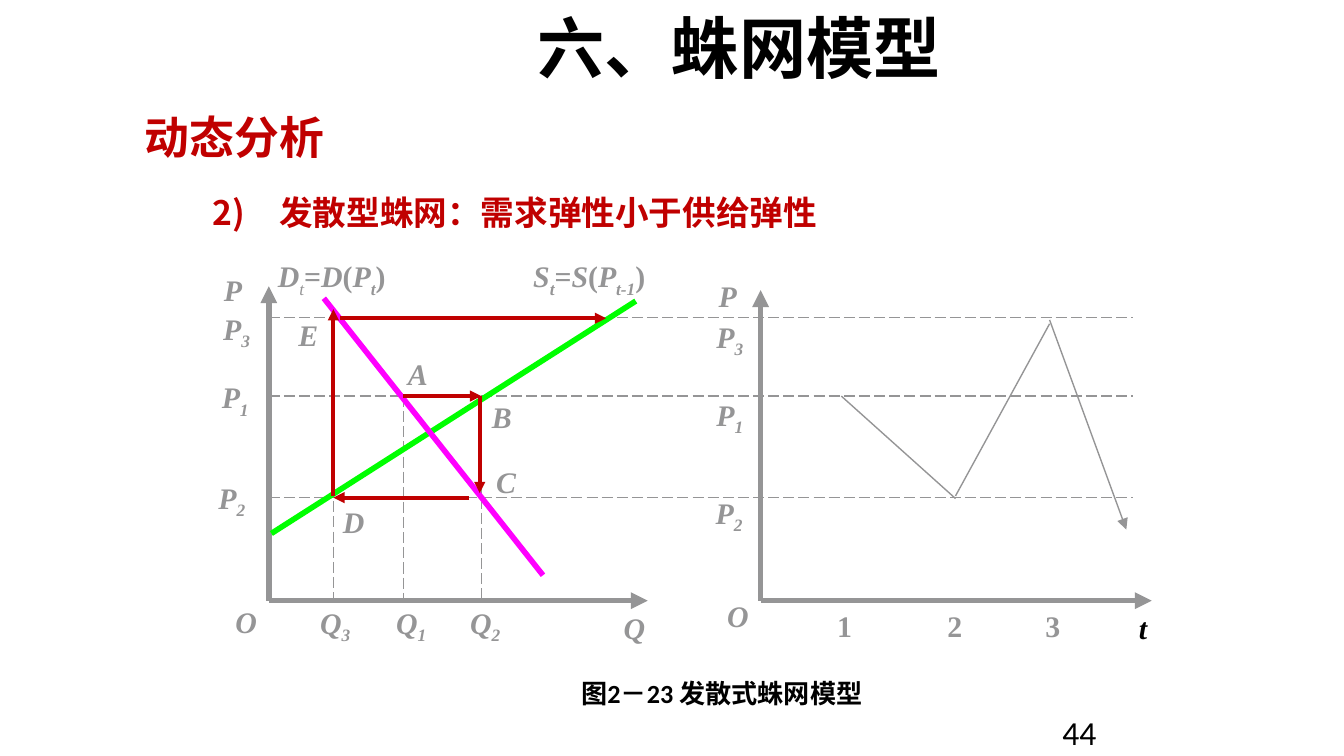
import pptx
import pptx.dml.color
import pptx.enum.dml
import pptx.enum.shapes
import pptx.enum.text
import pptx.oxml.ns
import pptx.util
from lxml import etree

Pt = pptx.util.Pt
qn = pptx.oxml.ns.qn
ALIGN = pptx.enum.text.PP_ALIGN
LONG_DASH = pptx.enum.dml.MSO_LINE.LONG_DASH
STRAIGHT = pptx.enum.shapes.MSO_CONNECTOR.STRAIGHT
COLOURS = {"grey": "959596", "red": "C00000", "green": "00FF00",
           "magenta": "FF00FF", "black": "000000"}
MATH = {"name": "Times New Roman", "size": Pt(16), "bold": True, "italic": True}
LABEL_WIDTH = 42


def add_span(para, text, colour, formats, subscript=False):
    span = para.add_run()
    span.text = text
    for name, value in formats.items():
        setattr(span.font, name, value)
    span.font.color.rgb = pptx.dml.color.RGBColor.from_string(COLOURS[colour])
    if subscript:
        span._r.get_or_add_rPr().set("baseline", "-25000")


def add_box(left, top, width, height, align=ALIGN.LEFT, wrap=True):
    """Add a text box and return its first paragraph."""
    box = page.shapes.add_textbox(Pt(left), Pt(top), Pt(width), Pt(height))
    box.text_frame.word_wrap = wrap
    para = box.text_frame.paragraphs[0]
    para.alignment = align
    return para


deck = pptx.Presentation()
deck.slide_width, deck.slide_height = Pt(720), Pt(405)
page = deck.slides.add_slide(deck.slide_layouts[6])

# Page number, title and caption
for text, place, align, size, bold in [
    ("44", (562, 378, 146, 27), ALIGN.LEFT, 18, False),
    ("六、蛛网模型", (72, 0, 648, 58), ALIGN.CENTER, 36, True),
    ("图2－23 发散式蛛网模型", (207.4, 359.3, 358.6, 24.5), ALIGN.CENTER, 14, True),
]:
    add_span(add_box(*place, align), text, "black",
             {"name": "Calibri", "size": Pt(size), "bold": bold})

# Heading and numbered point
heading = add_box(70.6, 55.4, 588.2, 130.3)
add_span(heading, "动态分析", "red", {"name": "Arial", "size": Pt(24), "bold": True})
point = page.shapes[-1].text_frame.add_paragraph()
point.level = 1
point.alignment = ALIGN.JUSTIFY
point.line_spacing = 1.7
properties = point._p.get_or_add_pPr()
properties.set("marL", str(Pt(72)))
properties.set("indent", str(Pt(-36)))
bullet_colour = etree.SubElement(properties, qn("a:buClr"))
etree.SubElement(bullet_colour, qn("a:srgbClr"), val=COLOURS["red"])
etree.SubElement(properties, qn("a:buFont"), typeface="Arial")
etree.SubElement(properties, qn("a:buAutoNum"), type="arabicParenR", startAt="2")
add_span(point, "发散型蛛网：需求弹性小于供给弹性", "red",
         {"name": "Arial", "size": Pt(18), "bold": True})

# Levels shared by both diagrams
p3, p1, p2, base = 170, 212.2, 266.6, 321.8
q3, q1, q2 = 178.6, 216, 257.8
left_origin, right_origin, guide_end = 144, 407.5, 607

# Start, end, colour, width, dashed, arrow at end
lines = [
    ((left_origin, base), (left_origin, 153.4), "grey", 3, False, True),
    ((left_origin, base), (347, base), "grey", 3, False, True),
    ((right_origin, base), (right_origin, 155.5), "grey", 3, False, True),
    ((right_origin, base), (617, base), "grey", 3, False, True),
]
for x, top in [(q3, 268.6), (q1, p1), (q2, 258.5)]:
    lines.append(((x, top), (x, base), "grey", 0.75, True, False))
for y in (p3, p1, p2):
    lines.append(((left_origin, y), (guide_end, y), "grey", 0.75, True, False))
lines += [
    ((340.6, 161.3), (145.4, 285.8), "green", 3, False, False),
    ((290.9, 308.2), (173.5, 159.8), "magenta", 3, False, False),
    ((251.3, p2), (q3, p2), "red", 2, False, True),
    ((q3, 265.7), (q3, 165.6), "red", 2, False, True),
    ((q1, p1), (q2, p1), "red", 2, False, True),
    ((257, p1), (257, 264.2), "red", 2, False, True),
    ((182.2, 170.5), (324.7, 170.5), "red", 2, False, True),
    ((450.7, p1), (511.9, 267.1), "grey", 0.75, False, False),
    ((511.9, 265.7), (562.3, 173.5), "grey", 0.75, False, False),
    ((562.3, 171.4), (603.4, 283.7), "grey", 0.75, False, True),
]
for start, end, colour, width, dashed, arrow in lines:
    line = page.shapes.add_connector(STRAIGHT, *map(Pt, start + end))
    line.line.color.rgb = pptx.dml.color.RGBColor.from_string(COLOURS[colour])
    line.line.width = Pt(width)
    if dashed:
        line.line.dash_style = LONG_DASH
    if arrow:
        etree.SubElement(line.line._get_or_add_ln(), qn("a:tailEnd"), type="triangle")
    etree.SubElement(line._element.spPr, qn("a:effectLst"))

# Letter, subscript, centre, top
for letter, subscript, centre, top in [
    ("P", "", 124.9, 141.8), ("P", "3", 126.7, 162.7),
    ("P", "1", 126, 199.4), ("P", "2", 124.2, 253.4),
    ("O", "", 131.8, 319.7), ("Q", "", 339.8, 323.3),
    ("Q", "3", 179.6, 320.4), ("Q", "1", 220.3, 320.4), ("Q", "2", 259.9, 320.4),
    ("A", "", 223.9, 187.2), ("B", "", 268.9, 210.2), ("C", "", 271.1, 244.8),
    ("D", "", 189.4, 266.4), ("E", "", 165.2, 166.3),
    ("P", "", 389.9, 145.4), ("P", "3", 391, 167),
    ("P", "1", 391, 208.8), ("P", "2", 390.6, 261.4),
    ("O", "", 395.3, 316.8), ("t", "", 612.4, 323.3),
    ("1", "", 452.5, 321.8), ("2", "", 511.6, 321.8), ("3", "", 564.1, 321.8),
]:
    para = add_box(centre - LABEL_WIDTH / 2, top, LABEL_WIDTH,
                   29.5 if subscript else 26.6, ALIGN.CENTER, False)
    add_span(para, letter, "black" if letter == "t" else "grey",
             MATH | {"italic": letter.isalpha()})
    if subscript:
        add_span(para, subscript, "grey", MATH, True)

# Curve equations
for left, width, letter, period, bold_index in [
    (141.8, 72, "D", "t", False), (278.6, 74.2, "S", "t-1", True),
]:
    para = add_box(left, 134.6, width, 29.5, wrap=False)
    add_span(para, letter, "grey", MATH)
    add_span(para, "t", "grey", MATH | {"bold": bold_index}, True)
    add_span(para, "=", "grey", MATH | {"italic": False})
    add_span(para, letter, "grey", MATH)
    add_span(para, "(", "grey", MATH | {"italic": False})
    add_span(para, "P", "grey", MATH)
    add_span(para, period, "grey", MATH, True)
    add_span(para, ")", "grey", MATH | {"italic": False})

deck.save("out.pptx")
